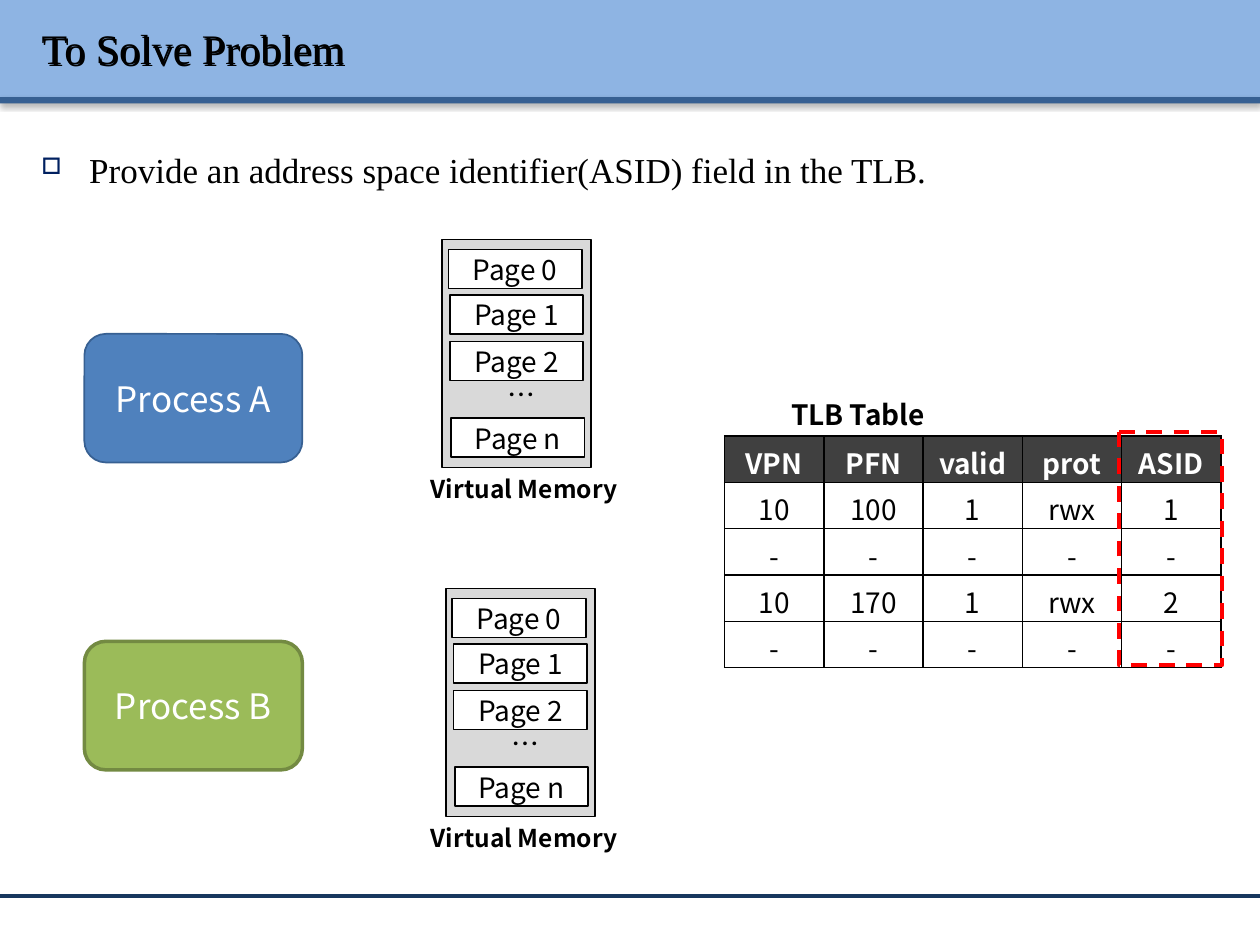
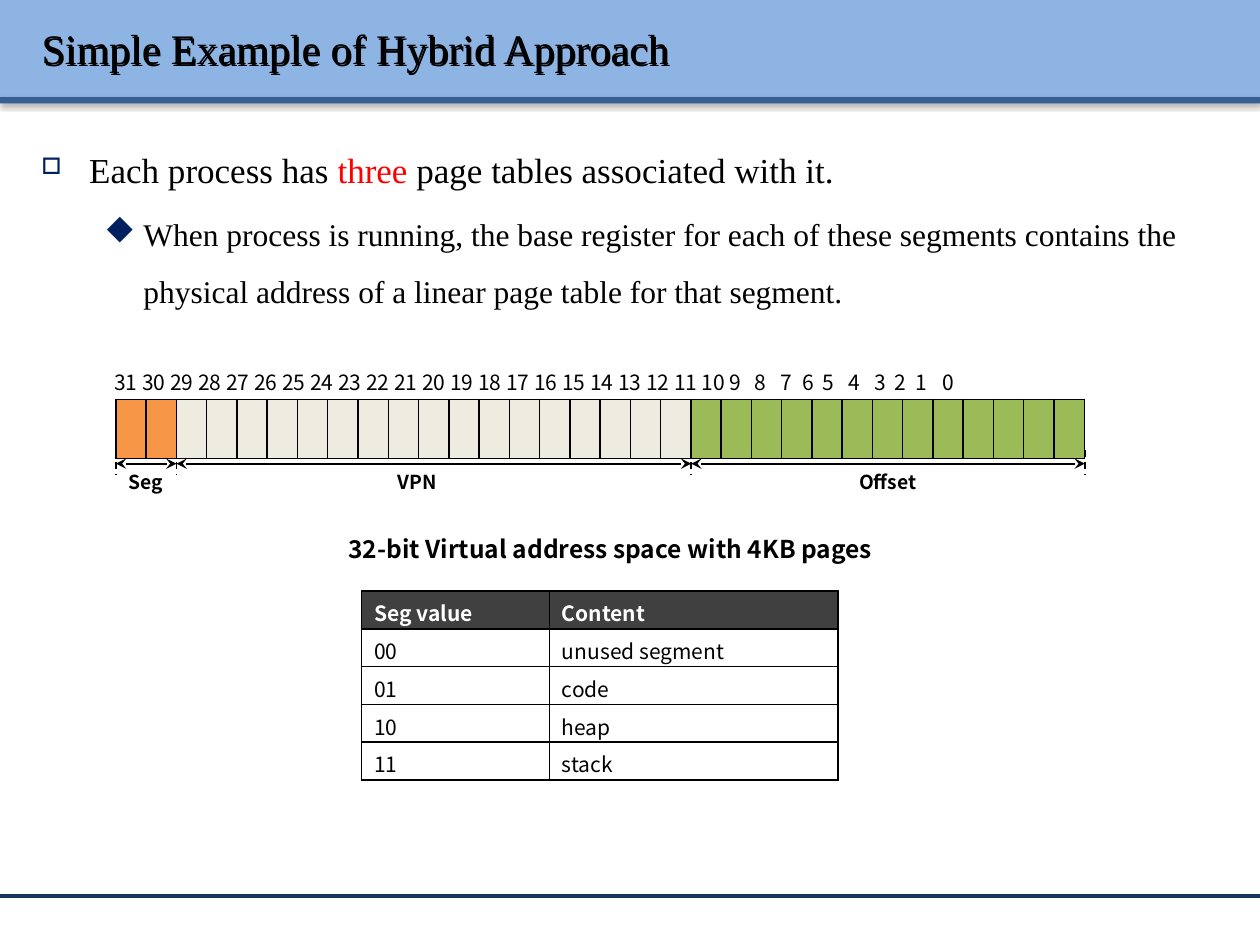
from dataclasses import dataclass

from lxml.etree import SubElement
from pptx import Presentation
from pptx.dml.color import RGBColor
from pptx.enum.dml import MSO_LINE
from pptx.enum.shapes import MSO_CONNECTOR, MSO_SHAPE
from pptx.enum.text import MSO_ANCHOR, PP_ALIGN
from pptx.oxml.ns import qn
from pptx.util import Inches, Pt

# Shared colours and fonts
BLACK = RGBColor(0x00, 0x00, 0x00)
WHITE = RGBColor(0xFF, 0xFF, 0xFF)
RED = RGBColor(0xFF, 0x00, 0x00)
BAND_BLUE = RGBColor(0x8E, 0xB4, 0xE3)
DARK_BLUE = RGBColor(0x37, 0x60, 0x92)
FOOTER_BLUE = RGBColor(0x17, 0x37, 0x5E)
BULLET_BLUE = RGBColor(0x00, 0x20, 0x60)
PROCESS_BLUE = RGBColor(0x4F, 0x81, 0xBD)
GREEN = RGBColor(0x9B, 0xBB, 0x59)
DARK_GREEN = RGBColor(0x73, 0x8A, 0x42)
ORANGE = RGBColor(0xF7, 0x96, 0x46)
CREAM = RGBColor(0xEE, 0xEC, 0xE1)
MEMORY_GREY = RGBColor(0xD9, 0xD9, 0xD9)
HEADER_GREY = RGBColor(0x40, 0x40, 0x40)
SERIF = "Times New Roman"
SANS = "Noto Sans CJK KR"
SYMBOLS = "Wingdings"


@dataclass(frozen=True)
class Area:
    left: float
    top: float
    width: float
    height: float

    def lengths(self) -> list:
        return [Inches(n) for n in (self.left, self.top, self.width, self.height)]


@dataclass(frozen=True)
class Style:
    size: float
    color: RGBColor = BLACK
    bold: bool = False
    font: str = SANS
    align: PP_ALIGN = PP_ALIGN.LEFT


@dataclass(frozen=True)
class Bullet:
    symbol: str
    scale: int
    size: float
    margin: float
    hanging: float


@dataclass(frozen=True)
class Field:
    name: str
    bits: int
    color: RGBColor
    label_left: float


CENTERED = PP_ALIGN.CENTER
PAGE_TEXT = Style(16, align=CENTERED)
CAPTION = Style(14, bold=True, align=CENTERED)
FIELD_LABEL = Style(11, bold=True, align=CENTERED)
# In the symbol font, "o" is a hollow square and "u" a solid diamond
BULLETS = [Bullet("o", 65, 20, 0.38, 0.38), Bullet("u", 100, 18, 0.81, 0.31)]


# Text helpers
def format_run(span, style: Style) -> None:
    font = span.font
    font.size, font.bold, font.name = Pt(style.size), style.bold, style.font
    font.color.rgb = style.color
    SubElement(span._r.get_or_add_rPr(), qn("a:ea"), typeface=style.font)


def write(frame, text: str, style: Style) -> None:
    frame.text = text
    para = frame.paragraphs[0]
    para.alignment = style.align
    for span in para.runs:
        format_run(span, style)


def add_label(page, area: Area, text: str, style: Style):
    box = page.shapes.add_textbox(*area.lengths())
    box.text_frame.word_wrap = True
    write(box.text_frame, text, style)
    return box


# Shape and line helpers
def add_box(page, area: Area, fill=None, line=None, width=1.0,
            kind=MSO_SHAPE.RECTANGLE, text="", style=PAGE_TEXT, side_inset=0.1):
    box = page.shapes.add_shape(kind, *area.lengths())
    box.shadow.inherit = False
    if fill is None:
        box.fill.background()
    else:
        box.fill.solid()
        box.fill.fore_color.rgb = fill
    if line is None:
        box.line.fill.background()
    else:
        box.line.color.rgb = line
        box.line.width = Pt(width)
    if text:
        frame = box.text_frame
        frame.vertical_anchor = MSO_ANCHOR.MIDDLE
        frame.margin_left = frame.margin_right = Inches(side_inset)
        write(frame, text, style)
    return box


def add_line(page, start: tuple, end: tuple, color=BLACK, width=1.0,
             dashed=False, arrows=False):
    line = page.shapes.add_connector(
        MSO_CONNECTOR.STRAIGHT, *[Inches(n) for n in (*start, *end)])
    line.line.color.rgb = color
    line.line.width = Pt(width)
    if dashed:
        line.line.dash_style = MSO_LINE.DASH
    if arrows:
        for tag in ("a:headEnd", "a:tailEnd"):
            SubElement(line.line._get_or_add_ln(), qn(tag), type="stealth")
    SubElement(line.element.spPr, qn("a:effectLst"))
    return line


def add_shadow(shape, blur: float, distance: float, degrees: int, percent: int) -> None:
    shape.shadow.inherit = False
    effects = shape.element.spPr.find(qn("a:effectLst"))
    shadow = SubElement(effects, qn("a:outerShdw"), blurRad=str(Pt(blur)),
                        dist=str(Pt(distance)), dir=str(degrees * 60000),
                        algn="t", rotWithShape="0")
    color = SubElement(shadow, qn("a:srgbClr"), val=str(BLACK))
    SubElement(color, qn("a:alpha"), val=str(percent * 1000))


# Table helpers
def border_cell(cell) -> None:
    properties = cell._tc.get_or_add_tcPr()
    for index, side in enumerate(("L", "R", "T", "B")):
        border = SubElement(properties, qn(f"a:ln{side}"), w=str(Pt(1)))
        fill = SubElement(border, qn("a:solidFill"))
        SubElement(fill, qn("a:srgbClr"), val=str(BLACK))
        properties.insert(index, border)


def add_grid(page, area: Area, row_count: int, widths: list):
    table = page.shapes.add_table(row_count, len(widths), *area.lengths()).table
    for column, width in zip(table.columns, widths):
        column.width = Inches(width)
    for row in table.rows:
        row.height = Inches(area.height / row_count)
    for cell in table.iter_cells():
        border_cell(cell)
    return table


def fill_cell(cell, color) -> None:
    if color is None:
        cell.fill.background()
    else:
        cell.fill.solid()
        cell.fill.fore_color.rgb = color


def add_text_table(page, area: Area, widths: list, rows: list, size: float,
                   align: PP_ALIGN, body_fill=None) -> None:
    table = add_grid(page, area, len(rows), widths)
    for r, values in enumerate(rows):
        header = r == 0
        style = Style(size, WHITE if header else BLACK, header, align=align)
        for c, value in enumerate(values):
            cell = table.cell(r, c)
            cell.margin_bottom = 0
            fill_cell(cell, HEADER_GREY if header else body_fill)
            write(cell.text_frame, value, style)


# Parts that every slide shares
def add_page(deck, title_text: str):
    page = deck.slides.add_slide(deck.slide_layouts[5])
    title = page.shapes.title
    for area, color in ((Area(0, 0, 10, 0.77), BAND_BLUE),
                        (Area(0, 0.77, 10, 0.05), DARK_BLUE)):
        band = add_box(page, area, color)
        add_shadow(band, 3.1, 1.6, 90, 38)
        title.element.addprevious(band.element)
    add_line(page, (0, 7.11), (10, 7.11), FOOTER_BLUE, 2)

    title.left, title.top, title.width, title.height = Area(0.23, 0.06, 9.61, 0.64).lengths()
    title.text_frame.vertical_anchor = MSO_ANCHOR.MIDDLE
    write(title.text_frame, title_text, Style(24, font=SERIF))
    # The title has no fill, so its shadow falls from the letters
    title.fill.background()
    add_shadow(title, 0, 1.2, 45, 100)
    return page


def add_body(page, items: list) -> None:
    """Each item is a level and its (text, color) spans."""
    box = page.shapes.add_textbox(*Area(0.23, 0.96, 9.61, 6.02).lengths())
    frame = box.text_frame
    frame.word_wrap = True
    for index, (level, spans) in enumerate(items):
        bullet = BULLETS[level]
        para = frame.paragraphs[0] if index == 0 else frame.add_paragraph()
        para.level = level
        para.line_spacing = 1.5
        para.space_before = Pt(bullet.size * 0.2)
        properties = para._p.get_or_add_pPr()
        properties.set("marL", str(Inches(bullet.margin)))
        properties.set("indent", str(-Inches(bullet.hanging)))
        color = SubElement(properties, qn("a:buClr"))
        SubElement(color, qn("a:srgbClr"), val=str(BULLET_BLUE))
        SubElement(properties, qn("a:buSzPct"), val=str(bullet.scale * 1000))
        SubElement(properties, qn("a:buFont"), typeface=SYMBOLS,
                   pitchFamily="2", charset="2")
        SubElement(properties, qn("a:buChar"), char=bullet.symbol)
        for text, text_color in spans:
            span = para.add_run()
            span.text = text
            format_run(span, Style(bullet.size, text_color, font=SERIF))


# Slide 1: address space identifier
def add_memory(page, left: float, top: float) -> None:
    add_box(page, Area(left, top, 1.18, 1.81), MEMORY_GREY, BLACK)
    for name, x, y in (("0", 0.05, 0.08), ("1", 0.06, 0.44),
                       ("2", 0.06, 0.81), ("n", 0.07, 1.42)):
        add_box(page, Area(left + x, top + y, 1.06, 0.31), WHITE, BLACK,
                text=f"Page {name}", side_inset=0)
    add_label(page, Area(left + 0.42, top + 1.05, 1.16, 0.37), "…", Style(16))
    add_label(page, Area(3.2, top + 1.81, 1.92, 0.34), "Virtual Memory", CAPTION)


def build_asid_slide(deck) -> None:
    page = add_page(deck, "To Solve Problem")
    add_body(page, [(0, [("Provide an address space identifier(ASID) field in the TLB.", BLACK)])])
    for name, top, fill, line, width in (("A", 2.65, PROCESS_BLUE, DARK_BLUE, 1),
                                         ("B", 5.09, GREEN, DARK_GREEN, 2)):
        add_box(page, Area(0.67, top, 1.73, 1.02), fill, line, width,
                MSO_SHAPE.ROUNDED_RECTANGLE, f"Process {name}",
                Style(20, WHITE, align=CENTERED))
    add_box(page, Area(6.18, 3.1, 1.54, 0.37), WHITE, text="TLB Table",
            style=Style(16, bold=True))
    add_memory(page, 3.51, 1.9)
    add_memory(page, 3.54, 4.67)
    unused = ["-"] * 5
    rows = [["VPN", "PFN", "valid", "prot", "ASID"],
            ["10", "100", "1", "rwx", "1"], unused,
            ["10", "170", "1", "rwx", "2"], unused]
    add_text_table(page, Area(5.75, 3.46, 3.94, 1.84), [3.94 / 5] * 5, rows, 16, CENTERED)
    highlight = add_box(page, Area(8.88, 3.43, 0.82, 1.85), line=RED, width=2.25,
                        kind=MSO_SHAPE.ROUNDED_RECTANGLE)
    highlight.adjustments[0] = 0
    highlight.line.dash_style = MSO_LINE.DASH


# Slide 2: hybrid approach
def add_bit_numbers(page) -> None:
    text = " ".join(str(bit) for bit in range(31, 8, -1))
    text += "\t" + "\t".join(str(bit) for bit in range(8, -1, -1))
    box = add_label(page, Area(0.81, 2.88, 7.96, 0.3), text, Style(12))
    stops = SubElement(box.text_frame.paragraphs[0]._p.get_or_add_pPr(), qn("a:tabLst"))
    for position in (5.08, 5.29, 5.46, 5.62, 5.83, 6.03, 6.19, 6.36, 6.57):
        SubElement(stops, qn("a:tab"), pos=str(Inches(position)), algn="l")


def add_address_fields(page) -> None:
    fields = [Field("Seg", 2, ORANGE, 0.8), Field("VPN", 17, CREAM, 2.96),
              Field("Offset", 13, GREEN, 6.69)]
    left, bit_width = 0.92, 7.69 / 32
    table = add_grid(page, Area(left, 3.17, 7.69, 0.47), 1, [bit_width] * 32)
    colors = [field.color for field in fields for _ in range(field.bits)]
    for cell, color in zip(table.iter_cells(), colors):
        fill_cell(cell, color)
    add_line(page, (left, 3.57), (left, 3.77), dashed=True)
    for field in fields:
        right = left + field.bits * bit_width
        add_line(page, (right, 3.57), (right, 3.77), dashed=True)
        add_line(page, (left, 3.68), (right, 3.68), arrows=True)
        add_label(page, Area(field.label_left, 3.68, 0.71, 0.29), field.name, FIELD_LABEL)
        left = right


def build_hybrid_slide(deck) -> None:
    page = add_page(deck, "Simple Example of Hybrid Approach")
    add_body(page, [
        (0, [("Each process has ", BLACK), ("three", RED),
             (" page tables associated with it.", BLACK)]),
        (1, [("When process is running, the base register for each of these segments "
              "contains the physical address of a linear page table for that segment.", BLACK)]),
    ])
    add_address_fields(page)
    add_bit_numbers(page)
    rows = [["Seg value", "Content"], ["00", "unused segment"], ["01", "code"],
            ["10", "heap"], ["11", "stack"]]
    add_text_table(page, Area(2.87, 4.69, 3.78, 1.5), [1.49, 2.29], rows, 12,
                   PP_ALIGN.LEFT, WHITE)
    add_label(page, Area(2.64, 4.19, 4.41, 0.34),
              "32-bit Virtual address space with 4KB pages", CAPTION)


def main() -> None:
    deck = Presentation()
    deck.slide_width, deck.slide_height = Inches(10), Inches(7.5)
    build_asid_slide(deck)
    build_hybrid_slide(deck)
    deck.save("out.pptx")


if __name__ == "__main__":
    main()
